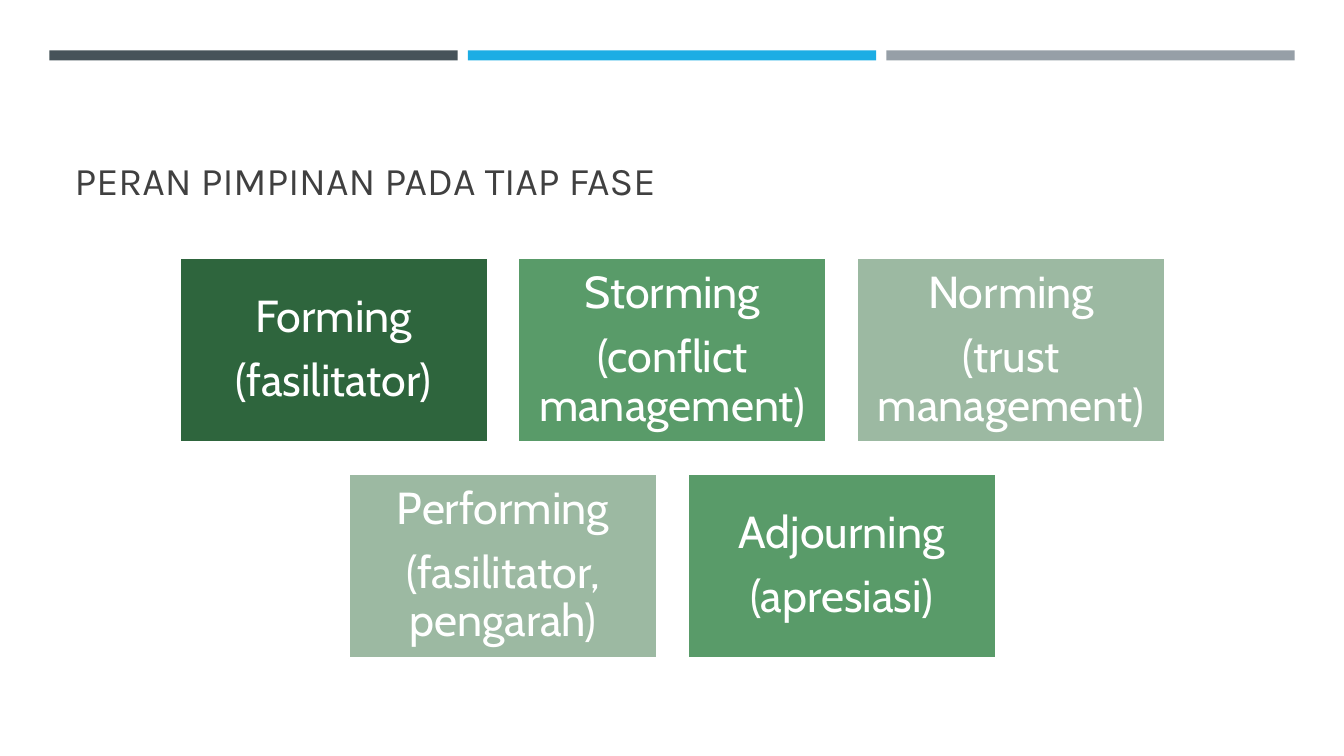
import pptx
import pptx.util
import pptx.dml.color
import pptx.enum.shapes
import pptx.enum.text

Inch = pptx.util.Inches
Pt = pptx.util.Pt
Align = pptx.enum.text.PP_ALIGN
Anchor = pptx.enum.text.MSO_ANCHOR

HUES = {
    "slate": "465359", "blue": "1CADE4", "grey": "969FA7", "ink": "404040",
    "dark": "2E653D", "mid": "599B69", "pale": "9CB9A2", "white": "FFFFFF",
}


class Deck:
    """Slide style; cards sit on a grid of columns and rows."""
    head, body = "Karla", "Cabin"
    left, top = 1.78, 2.56      # grid origin
    col, row = 3.36, 2.14       # grid steps
    wide, high = 3.06, 1.83     # card size

    def __init__(self):
        self.prs = pptx.Presentation()
        self.prs.slide_width = Inch(13.33)
        self.prs.slide_height = Inch(7.5)
        self.slide = self.prs.slides.add_slide(self.prs.slide_layouts[5])

    def hue(self, name):
        return pptx.dml.color.RGBColor.from_string(HUES[name])

    def style(self, para, face, size, hue, align):
        para.alignment = align
        para.font.name = face
        para.font.size = Pt(size)
        para.font.color.rgb = self.hue(hue)

    def rect(self, x, y, w, h, fill):
        kind = pptx.enum.shapes.MSO_SHAPE.RECTANGLE
        box = self.slide.shapes.add_shape(kind, Inch(x), Inch(y), Inch(w), Inch(h))
        box.shadow.inherit = False
        box.fill.solid()
        box.fill.fore_color.rgb = self.hue(fill)
        box.line.fill.background()
        return box

    def strip(self, col, fill):
        self.rect(0.49 + 4.15 * col, 0.5, 4.05, 0.1, fill)

    def title(self, text):
        box = self.slide.shapes.title
        box.left, box.top = Inch(0.64), Inch(0.77)
        box.width, box.height = Inch(12.06), Inch(1.3)
        frame = box.text_frame
        frame.text = text
        frame.auto_size = pptx.enum.text.MSO_AUTO_SIZE.NONE
        frame.vertical_anchor = Anchor.BOTTOM
        self.style(frame.paragraphs[0], self.head, 28, "ink", Align.LEFT)

    def card(self, col, row, fill, phase, role):
        box = self.rect(self.left + self.col * col, self.top + self.row * row,
                        self.wide, self.high, fill)
        box.line.color.rgb = self.hue("white")
        box.line.width = Pt(1.75)
        frame = box.text_frame
        frame.word_wrap = True
        frame.vertical_anchor = Anchor.MIDDLE
        frame.margin_left = frame.margin_right = Inch(0.13)
        frame.margin_top = frame.margin_bottom = Inch(0.13)
        frame.text = f"{phase}\n({role})"
        for para in frame.paragraphs:
            para.line_spacing = 0.9
            para.space_after = Pt(11.2)
            self.style(para, self.body, 32, "white", Align.CENTER)


def main():
    deck = Deck()

    # Top strips
    for col, fill in enumerate(("slate", "blue", "grey")):
        deck.strip(col, fill)

    # Title
    deck.title("PERAN PIMPINAN PADA TIAP FASE")

    # Phase cards, second row centred under the first
    cards = (
        (0, 0, "dark", "Forming", "fasilitator"),
        (1, 0, "mid", "Storming", "conflict management"),
        (2, 0, "pale", "Norming", "trust management"),
        (0.5, 1, "pale", "Performing", "fasilitator, pengarah"),
        (1.5, 1, "mid", "Adjourning", "apresiasi"),
    )
    for card in cards:
        deck.card(*card)

    deck.prs.save("out.pptx")


if __name__ == "__main__":
    main()
